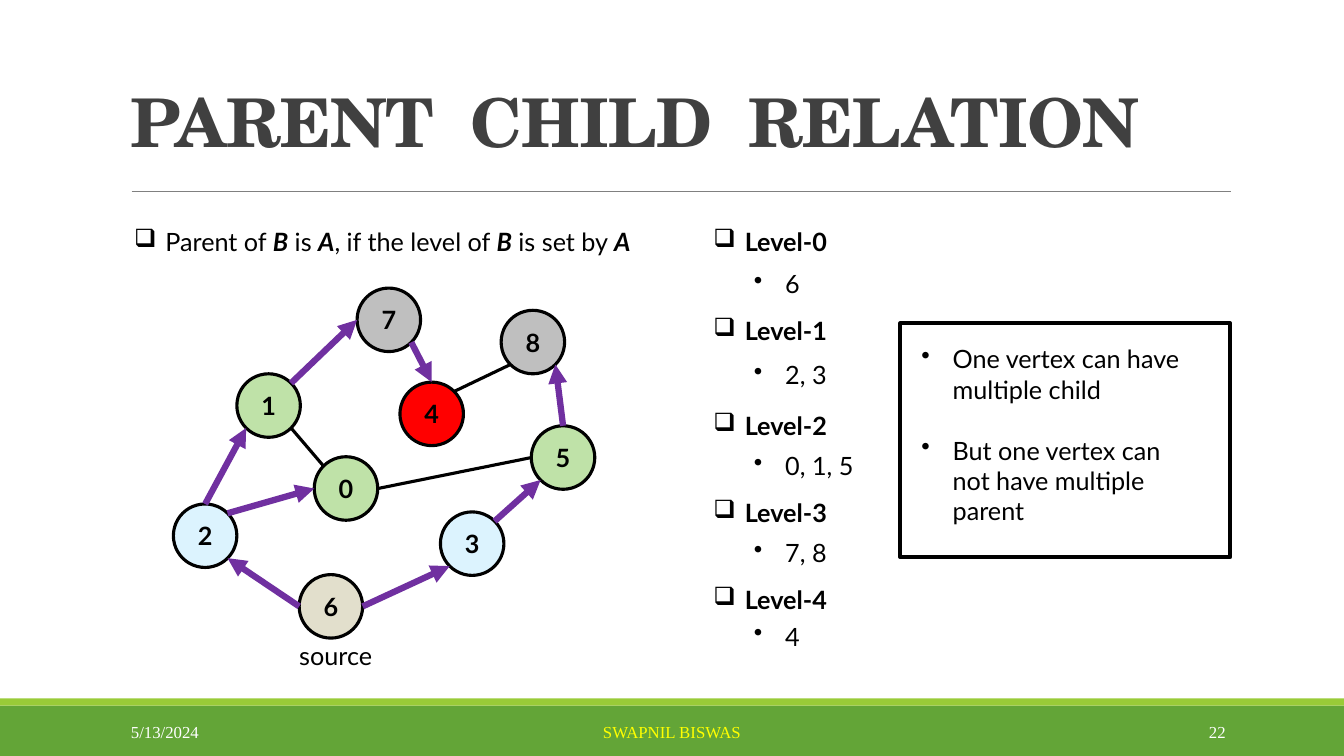
"""Builds the slide on parent and child vertices in a level-by-level graph search."""
from math import cos, radians, sin

from lxml.etree import SubElement
from pptx import Presentation
from pptx.dml.color import RGBColor
from pptx.enum.shapes import MSO_CONNECTOR, MSO_SHAPE
from pptx.enum.text import MSO_ANCHOR, PP_ALIGN
from pptx.oxml.ns import qn
from pptx.util import Cm, Pt

BLACK = RGBColor(0x00, 0x00, 0x00)
WHITE = RGBColor(0xFF, 0xFF, 0xFF)
YELLOW = RGBColor(0xFF, 0xFF, 0x00)
CHARCOAL = RGBColor(0x40, 0x40, 0x40)
RULE_GRAY = RGBColor(0x80, 0x80, 0x80)
GREEN = RGBColor(0x63, 0xA5, 0x37)
LIME = RGBColor(0x99, 0xCB, 0x38)
PURPLE = RGBColor(0x70, 0x30, 0xA0)
LEVEL_COLORS = [
    RGBColor(0xE2, 0xDF, 0xCC),
    RGBColor(0xDC, 0xF3, 0xFE),
    RGBColor(0xBF, 0xE2, 0xA8),
    RGBColor(0xBF, 0xBF, 0xBF),
    RGBColor(0xFF, 0x00, 0x00),
]

TITLE = "PARENT  CHILD  RELATION"
DEFINITION = [
    ("Parent of ", False), ("B", True), (" is ", False), ("A", True),
    (", if the level of ", False), ("B", True), (" is set by ", False), ("A", True),
]
LEVELS = [
    ("Level-0", 5.59, "6", 6.63),
    ("Level-1", 7.82, "2, 3", 8.94),
    ("Level-2", 10.21, "0, 1, 5", 11.23),
    ("Level-3", 12.4, "7, 8", 13.42),
    ("Level-4", 14.6, "4", 15.52),
]
NOTES = ["One vertex can have multiple child", "But one vertex can not have multiple parent"]
FOOTER = [
    ("5/13/2024", 3.05, 6.86, PP_ALIGN.LEFT, WHITE),
    ("SWAPNIL BISWAS", 10.24, 13.39, PP_ALIGN.CENTER, YELLOW),
    ("22", 27.51, 3.63, PP_ALIGN.RIGHT, WHITE),
]

VERTICES = {
    "0": (8.72, 12.31, 2), "1": (6.77, 10.22, 2), "2": (5.17, 13.5, 1),
    "3": (11.9, 13.7, 1), "4": (10.88, 10.43, 4), "5": (14.19, 11.53, 2),
    "6": (8.34, 15.28, 0), "7": (9.8, 8.06, 3), "8": (13.43, 8.62, 3),
}
ANGLES = {"E": 0, "SE": 45, "SW": 135, "W": 180, "NW": 225, "N": 270, "NE": 315}
PLAIN_EDGES = [("0", "NW", "1", "SE"), ("0", "E", "5", "W"), ("4", "NE", "8", "SW")]
PARENT_EDGES = [
    ("6", "W", "2", "SE"), ("6", "E", "3", "SW"), ("2", "N", "1", "SW"),
    ("2", "NE", "0", "W"), ("3", "NE", "5", "SW"), ("1", "NE", "7", "W"),
    ("5", "N", "8", "SE"), ("7", "SE", "4", "N"),
]
RADIUS = 0.8
INDENT = 0.79
PAGE_WIDTH, PAGE_HEIGHT = 33.87, 19.05


def write(frame, text, font="Lato", size=18, color=BLACK, bold=False, align=PP_ALIGN.LEFT,
          anchor=MSO_ANCHOR.TOP, bullet=None, before=0, line_spacing=None, tracking=None,
          add=False):
    """Put a paragraph, given as text or (text, emphasis) pairs, into a text frame."""
    frame.word_wrap = True
    frame.vertical_anchor = anchor
    para = frame.add_paragraph() if add else frame.paragraphs[0]
    para.alignment = align
    para.space_before = Pt(before)
    if line_spacing:
        para.line_spacing = line_spacing
    if bullet:
        properties = para._p.get_or_add_pPr()
        properties.set("marL", str(Cm(INDENT)))
        properties.set("indent", str(-Cm(INDENT)))
        SubElement(properties, qn("a:buChar")).set("char", bullet)
    for words, emphasis in [(text, False)] if isinstance(text, str) else text:
        span = para.add_run()
        span.text = words
        span.font.name, span.font.size = font, Pt(size)
        span.font.bold, span.font.italic = bold or emphasis, emphasis
        span.font.color.rgb = color
        if tracking:
            span._r.get_or_add_rPr().set("spc", str(tracking))


def add_text(page, text, left, top, width, height=1.02, **style):
    box = page.shapes.add_textbox(Cm(left), Cm(top), Cm(width), Cm(height))
    write(box.text_frame, text, **style)


def add_block(page, kind, left, top, width, height, fill=None, border=None):
    block = page.shapes.add_shape(kind, Cm(left), Cm(top), Cm(width), Cm(height))
    block.shadow.inherit = False
    if fill is None:
        block.fill.background()
    else:
        block.fill.solid()
        block.fill.fore_color.rgb = fill
    if border is None:
        block.line.fill.background()
    else:
        block.line.color.rgb = BLACK
        block.line.width = Pt(border)
    return block


def add_line(page, start, end, color, weight, arrow=False):
    points = [Cm(value) for value in (*start, *end)]
    line = page.shapes.add_connector(MSO_CONNECTOR.STRAIGHT, *points)
    line.line.color.rgb = color
    line.line.width = Pt(weight)
    if arrow:
        SubElement(line.line._get_or_add_ln(), qn("a:tailEnd")).set("type", "triangle")
    SubElement(line._element.spPr, qn("a:effectLst"))


def rim_point(vertex, side):
    x, y, _ = VERTICES[vertex]
    angle = radians(ANGLES[side])
    return x + RADIUS * cos(angle), y + RADIUS * sin(angle)


def add_edges(page, edges, color, weight, arrow=False):
    for start, start_side, end, end_side in edges:
        add_line(page, rim_point(start, start_side), rim_point(end, end_side),
                 color, weight, arrow)


def add_graph(page):
    add_edges(page, PLAIN_EDGES, BLACK, 2.25)
    for name, (x, y, level) in VERTICES.items():
        circle = add_block(page, MSO_SHAPE.OVAL, x - RADIUS, y - RADIUS, 2 * RADIUS,
                           2 * RADIUS, LEVEL_COLORS[level], 2.25)
        frame = circle.text_frame
        frame.margin_left = frame.margin_right = frame.margin_top = frame.margin_bottom = 0
        write(frame, name, bold=True, align=PP_ALIGN.CENTER, anchor=MSO_ANCHOR.MIDDLE)
    add_edges(page, PARENT_EDGES, PURPLE, 4.5, arrow=True)
    add_text(page, "source", 7.29, 16, 2.5)


def add_notes(page):
    frame = add_block(page, MSO_SHAPE.RECTANGLE, 22.69, 8.15, 8.31, 5.89, border=3).text_frame
    frame.margin_left, frame.margin_right, frame.margin_top = Cm(0.53), Cm(0.74), Cm(0.51)
    for index, note in enumerate(NOTES):
        write(frame, note, bullet="•", before=22 * index, add=index > 0)


def main():
    deck = Presentation()
    deck.slide_width, deck.slide_height = Cm(PAGE_WIDTH), Cm(PAGE_HEIGHT)
    page = deck.slides.add_slide(deck.slide_layouts[6])
    add_block(page, MSO_SHAPE.RECTANGLE, 0, 17.78, PAGE_WIDTH, 1.27, GREEN)
    add_block(page, MSO_SHAPE.RECTANGLE, 0, 17.6, PAGE_WIDTH, 0.18, LIME)
    add_line(page, (3.32, 4.82), (31.01, 4.82), RULE_GRAY, 0.5)
    add_text(page, TITLE, 3.05, 0.15, 27.94, 4.04, font="TeX Gyre Schola", size=48,
             color=CHARCOAL, bold=True, anchor=MSO_ANCHOR.BOTTOM, line_spacing=0.85,
             tracking=-50)
    add_text(page, DEFINITION, 3.13, 5.59, 14.2, bullet="❑")
    add_graph(page)
    for heading, heading_top, members, members_top in LEVELS:
        add_text(page, heading, 17.73, heading_top, 4.2, bold=True, bullet="❑")
        add_text(page, members, 18.75, members_top, 3.7, bullet="•")
    add_notes(page)
    for text, left, width, align, color in FOOTER:
        add_text(page, text, left, 17.93, width, font="Times New Roman", size=12,
                 color=color, align=align, anchor=MSO_ANCHOR.MIDDLE)
    deck.save("out.pptx")


if __name__ == "__main__":
    main()
